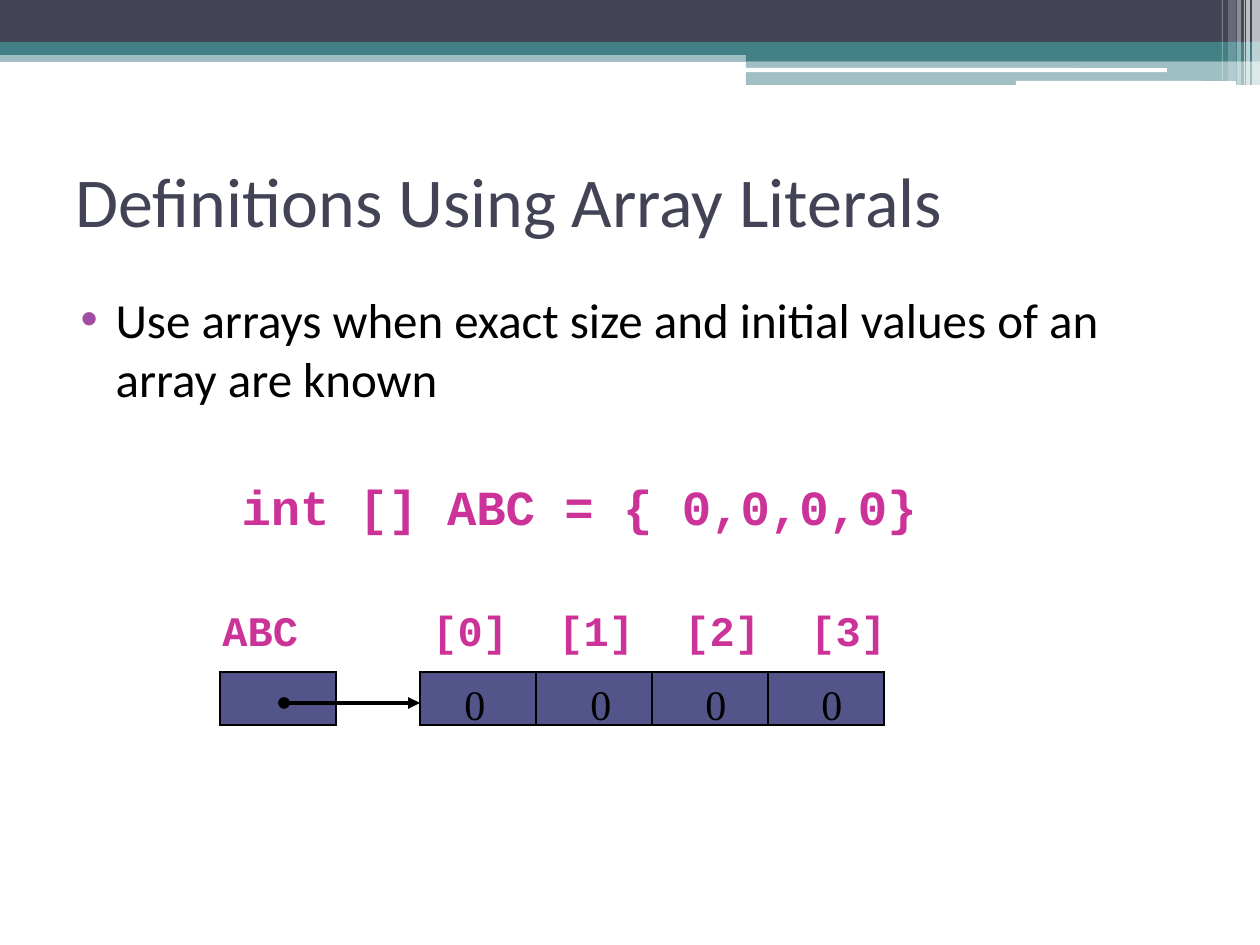
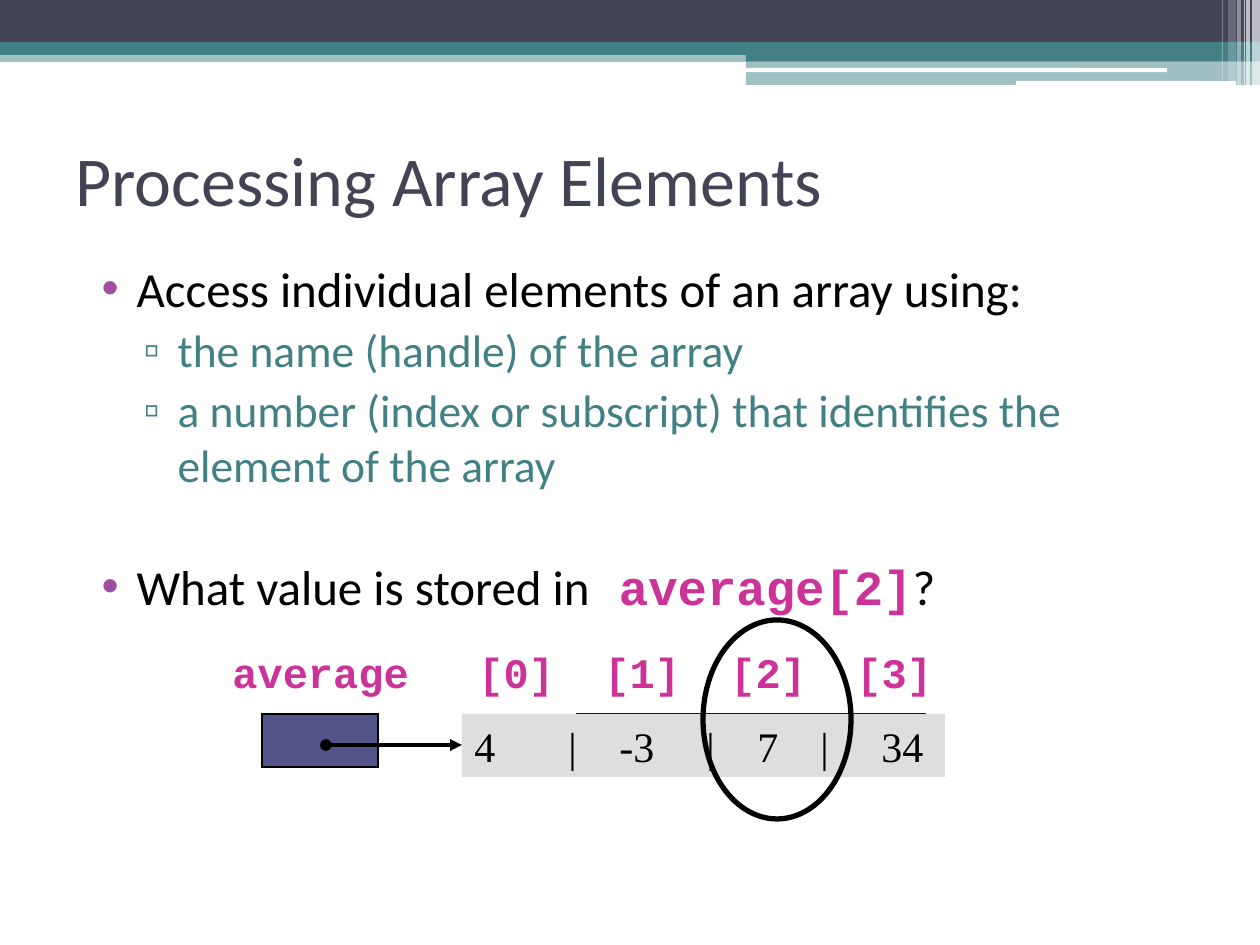
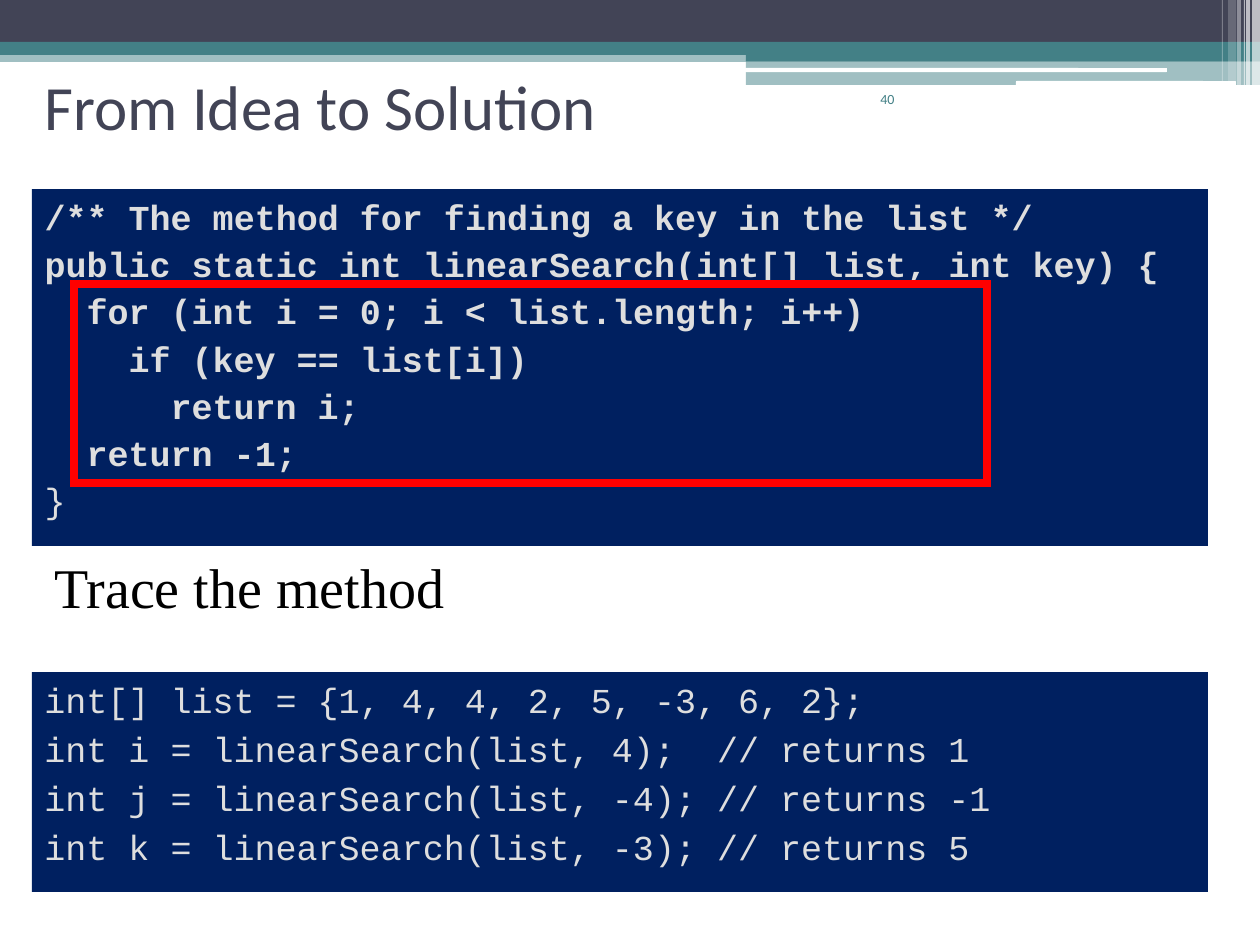
from dataclasses import dataclass
from typing import Optional, Sequence

from lxml.etree import SubElement
from pptx import Presentation
from pptx.dml.color import RGBColor
from pptx.enum.shapes import MSO_CONNECTOR as Connector, MSO_SHAPE as Preset
from pptx.enum.text import MSO_ANCHOR as Anchor, MSO_AUTO_SIZE as AutoSize, PP_ALIGN as Align
from pptx.oxml.ns import qn
from pptx.util import Emu, Pt

# Shared look
COLORS = {
    "ink": "424456", "teal": "438086", "white": "FFFFFF", "black": "000000",
    "magenta": "CC3399", "purple": "A04DA3", "cell": "53548A",
    "gray": "DEDEDE", "navy": "002060", "red": "FF0000",
}
SANS, CODE, SERIF = "Calibri", "Courier New", "Times New Roman"
SCALE = 914400 / 126  # EMU in one pixel
CELL_WIDTH, CELL_HEIGHT = 116, 53
ROW_HEIGHT = 63
INDEX_STEP = 126  # five characters of 24 point code
CODE_INDENT = 42  # two characters of 20 point code


@dataclass(frozen=True)
class Box:
    left: int
    top: int
    width: int
    height: int

    def emu(self) -> list[Emu]:
        return [px(side) for side in (self.left, self.top, self.width, self.height)]


@dataclass(frozen=True)
class Band:
    box: Box
    color: str
    opacity: int = 100
    preset: Preset = Preset.RECTANGLE


@dataclass(frozen=True)
class Bullet:
    character: str
    color: str
    margin: int
    hanging: int


DOT = Bullet("•", "purple", 50, 35)
SQUARE = Bullet("▫", "teal", 91, 34)

BANDS = [
    Band(Box(0, 50, 1260, 12), "teal", 50),
    Band(Box(0, 0, 1260, 42), "ink"),
    Band(Box(0, 42, 1260, 13), "teal"),
    Band(Box(746, 49, 514, 12), "teal"),
    Band(Box(746, 60, 514, 25), "teal", 50),
    Band(Box(745, 68, 422, 4), "white", preset=Preset.ROUNDED_RECTANGLE),
    Band(Box(1016, 81, 220, 5), "white", preset=Preset.ROUNDED_RECTANGLE),
    Band(Box(1252, 0, 8, 85), "white", 65),
    Band(Box(1246, 0, 4, 85), "white", 65),
    Band(Box(1244, 0, 1, 85), "white", 60),
    Band(Box(1237, 0, 4, 85), "white", 40),
    Band(Box(1228, 0, 8, 81), "white", 20),
    Band(Box(1222, 0, 1, 81), "white", 30),
]


def px(pixels: float) -> Emu:
    return Emu(round(pixels * SCALE))


def rgb(name: str) -> RGBColor:
    return RGBColor.from_string(COLORS[name])


# Text
def write(frame, text: str, *, size: float, color: str = "black", font: str = SANS,
          bold: bool = False, align: Align = Align.LEFT, before: float = 0,
          margin: int = 0, bullet: Optional[Bullet] = None,
          same_paragraph: bool = False) -> None:
    """Add a formatted paragraph, or a run at the end of the last paragraph."""
    paragraph = frame.paragraphs[-1]
    if not same_paragraph:
        if paragraph.runs:
            paragraph = frame.add_paragraph()
        paragraph.alignment = align
        paragraph.space_before = Pt(before)
        properties = paragraph._p.get_or_add_pPr()
        properties.set("marL", str(px(bullet.margin if bullet else margin)))
        properties.set("indent", str(px(-bullet.hanging if bullet else 0)))
        if bullet:
            bullet_color = SubElement(properties, qn("a:buClr"))
            SubElement(bullet_color, qn("a:srgbClr"), val=COLORS[bullet.color])
            SubElement(properties, qn("a:buChar"), char=bullet.character)
        else:
            SubElement(properties, qn("a:buNone"))
    run = paragraph.add_run()
    run.text = text
    run.font.name, run.font.size, run.font.bold = font, Pt(size), bold
    run.font.color.rgb = rgb(color)


def prepare_frame(shape, anchor: Anchor = Anchor.TOP):
    frame = shape.text_frame
    frame.word_wrap = True
    frame.auto_size = AutoSize.NONE
    frame.vertical_anchor = anchor
    return frame


def add_text(slide, box: Box, text: str, **text_format) -> None:
    write(prepare_frame(slide.shapes.add_textbox(*box.emu())), text, **text_format)


def place(placeholder, box: Box, anchor: Anchor = Anchor.TOP):
    placeholder.left, placeholder.top, placeholder.width, placeholder.height = box.emu()
    return prepare_frame(placeholder, anchor)


# Shapes
def add_shape(slide, box: Box, *, fill: Optional[str] = None, opacity: int = 100,
              line: Optional[str] = None, weight: float = 0.75,
              preset: Preset = Preset.RECTANGLE):
    shape = slide.shapes.add_shape(preset, *box.emu())
    shape.shadow.inherit = False
    if fill:
        shape.fill.solid()
        shape.fill.fore_color.rgb = rgb(fill)
        if opacity < 100:
            color = shape._element.spPr.find(".//" + qn("a:srgbClr"))
            SubElement(color, qn("a:alpha"), val=str(opacity * 1000))
    else:
        shape.fill.background()
    if line:
        shape.line.color.rgb = rgb(line)
        shape.line.width = Pt(weight)
        SubElement(shape.line._get_or_add_ln(), qn("a:miter"), lim="800000")
    else:
        shape.line.fill.background()
    return shape


# Array diagrams
def add_cells(slide, left: int, top: int, count: int) -> None:
    for column in range(count):
        box = Box(left + column * CELL_WIDTH, top, CELL_WIDTH, CELL_HEIGHT)
        add_shape(slide, box, fill="cell", line="black")


def add_pointer(slide, left: int, right: int, y: int) -> None:
    connector = slide.shapes.add_connector(Connector.STRAIGHT, px(left), px(y), px(right), px(y))
    connector.line.color.rgb = rgb("black")
    connector.line.width = Pt(2.25)
    line = connector.line._get_or_add_ln()
    SubElement(line, qn("a:headEnd"), type="oval")
    SubElement(line, qn("a:tailEnd"), type="triangle")
    SubElement(connector._element.spPr, qn("a:effectLst"))


def add_label(slide, left: int, top: int, width: int, text: str) -> None:
    add_text(slide, Box(left, top, width, ROW_HEIGHT), text, size=24, font=CODE,
             color="magenta", bold=True)


def add_indexes(slide, left: int, top: int) -> None:
    for index in range(4):
        add_label(slide, left + index * INDEX_STEP, top, INDEX_STEP, f"[{index}]")


def add_values(slide, lefts: Sequence[int], top: int, values: Sequence[str]) -> None:
    for left, value in zip(lefts, values):
        add_text(slide, Box(left, top, 76, ROW_HEIGHT), value, size=24, font=SERIF)


# Slides
def add_bands(slide, layout) -> None:
    """Draw the bands, then move them behind the layout's placeholders."""
    for position, band in enumerate(BANDS, start=2):
        shape = add_shape(slide, band.box, fill=band.color, opacity=band.opacity,
                          preset=band.preset)
        layout.shapes._spTree.insert(position, shape._element)


def add_slide(presentation, title: str, title_box: Box, body_box: Box, size: int = 40):
    slide = presentation.slides.add_slide(presentation.slide_layouts[1])
    title_frame = place(slide.shapes.title, title_box, Anchor.MIDDLE)
    write(title_frame, title, size=size, color="ink")
    return slide, place(slide.placeholders[1], body_box)


def build_literals(presentation) -> None:
    slide, body = add_slide(presentation, "Definitions Using Array Literals",
                            Box(63, 126, 1134, 147), Box(53, 283, 1134, 596))
    add_bands(slide, slide.slide_layout)
    write(body, "Use arrays when exact size and initial values of an array are known",
          size=28, before=3, bullet=DOT)
    write(body, "int [] ABC = { 0,0,0,0}", size=28, font=CODE, color="magenta",
          bold=True, before=40, margin=176)
    # Array diagram
    add_cells(slide, 220, 672, 1)
    add_cells(slide, 420, 672, 4)
    add_label(slide, 210, 598, 189, "ABC")
    add_indexes(slide, 420, 598)
    add_pointer(slide, 284, 420, 703)
    add_values(slide, (452, 578, 693, 809), 672, "0000")


def build_elements(presentation) -> None:
    slide, body = add_slide(presentation, "Processing Array Elements",
                            Box(63, 105, 1134, 147), Box(74, 252, 1134, 596))
    write(body, "Access individual elements of an array using:", size=28, before=3, bullet=DOT)
    for text in ("the name (handle) of the array",
                 "a number (index or subscript) that identifies the element of the array"):
        write(body, text, size=26, color="teal", before=3, bullet=SQUARE)
    write(body, "What value is stored in", size=28, before=37, bullet=DOT)
    write(body, " average[2]", size=28, font=CODE, color="magenta", bold=True,
          same_paragraph=True)
    write(body, "?", size=28, same_paragraph=True)
    # Array diagram
    add_cells(slide, 262, 714, 1)
    add_cells(slide, 577, 714, 3)
    add_label(slide, 220, 640, 242, "average")
    add_indexes(slide, 466, 640)
    add_pointer(slide, 326, 462, 745)
    add_shape(slide, Box(462, 714, 483, ROW_HEIGHT), fill="gray")
    add_values(slide, (462, 556, 607, 694, 745, 808, 869), 714,
               ("4", "|", "-3", "|", "7", "|", "34"))
    add_shape(slide, Box(703, 620, 148, 199), line="black", weight=3, preset=Preset.OVAL)


def build_solution(presentation) -> None:
    slide, body = add_slide(presentation, "From Idea to Solution",
                            Box(32, 63, 1071, 84), Box(32, 189, 1176, 357), size=36)
    add_text(slide, Box(724, 84, 183, 63), "40", size=8, color="teal", align=Align.RIGHT)
    # Method
    method = slide.placeholders[1]
    method.fill.solid()
    method.fill.fore_color.rgb = rgb("navy")
    method_lines = [
        (0, "/** The method for finding a key in the list */"),
        (0, "public static int linearSearch(int[] list, int key) {"),
        (1, "for (int i = 0; i < list.length; i++)"),
        (2, "if (key == list[i])"),
        (3, "return i;"),
        (1, "return -1;"),
        (0, "}"),
    ]
    for depth, text in method_lines:
        write(body, text, size=20, font=CODE, color="gray", bold=text != "}", before=3,
              margin=depth * CODE_INDENT)
    # Calls to trace
    calls = prepare_frame(add_shape(slide, Box(32, 672, 1176, 220), fill="navy"))
    for text in ("int[] list = {1, 4, 4, 2, 5, -3, 6, 2};",
                 "int i = linearSearch(list, 4);  // returns 1",
                 "int j = linearSearch(list, -4); // returns -1",
                 "int k = linearSearch(list, -3); // returns 5"):
        write(calls, text, size=20, font=CODE, color="gray", before=4)
    add_text(slide, Box(42, 546, 1144, 84), "Trace the method", size=32, font=SERIF)
    add_shape(slide, Box(74, 284, 913, 199), line="red", weight=4.5)


def main() -> None:
    presentation = Presentation()
    presentation.slide_width, presentation.slide_height = px(1260), px(945)
    build_literals(presentation)
    build_elements(presentation)
    build_solution(presentation)
    presentation.save("out.pptx")


main()
